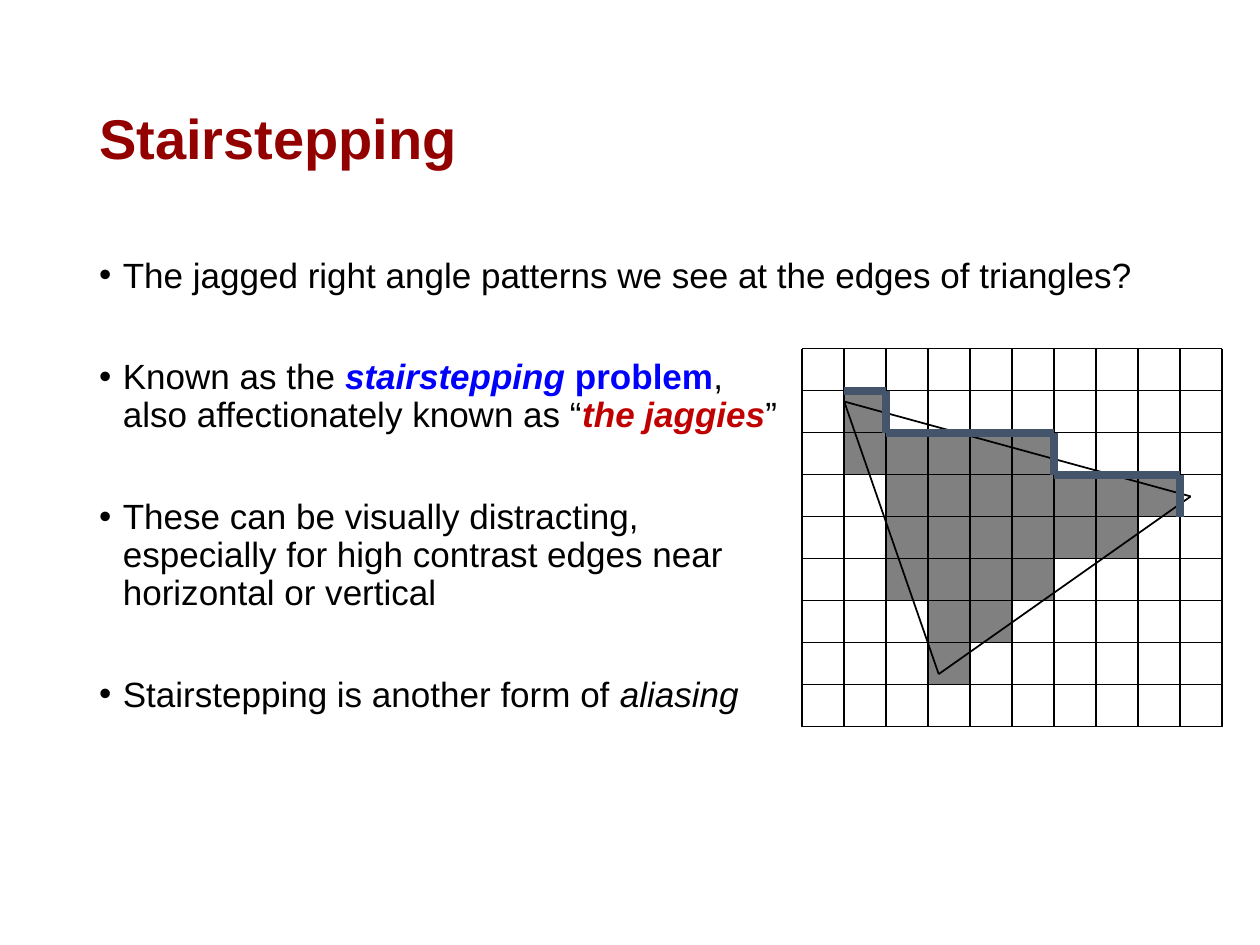
from itertools import pairwise

from lxml import etree
from pptx import Presentation
from pptx import util as u
from pptx.dml.color import RGBColor
from pptx.enum import shapes, text
from pptx.oxml import ns

BLACK = RGBColor(0x00, 0x00, 0x00)
DARK_RED = RGBColor(0x92, 0x00, 0x00)
RED = RGBColor(0xC0, 0x00, 0x00)
BLUE = RGBColor(0x00, 0x00, 0xFF)
GRAY = RGBColor(0x80, 0x80, 0x80)
SLATE = RGBColor(0x44, 0x54, 0x6A)

# Pixel grid, in points
CELL, COLUMNS, ROWS = 24, 10, 9
GRID_LEFT, GRID_TOP = 458.4, 199.2

# Row of the grid: first and last filled column
FILLED = {1: (1, 1), 2: (1, 5), 3: (2, 8), 4: (2, 7), 5: (2, 5), 6: (3, 4), 7: (3, 3)}
# Corners as (column, row) on the grid
TRIANGLE = [(1, 1.26), (9.25, 3.52), (3.25, 7.75), (1, 1.26)]
STAIRS = [(1, 1), (2, 1), (2, 2), (6, 2), (6, 3), (9, 3), (9, 4)]

BULLETS = [
    [("The jagged right angle patterns we see at the edges of triangles?", {})],
    [("Known as the ", {}),
     ("stairstepping", {"color": BLUE, "bold": True, "italic": True}),
     (" problem", {"color": BLUE, "bold": True}),
     (", \nalso affectionately known as “", {}),
     ("the jaggies", {"color": RED, "bold": True, "italic": True}),
     ("”", {})],
    [("These can be visually distracting, \nespecially for high contrast edges near \n"
      "horizontal or vertical", {})],
    [("Stairstepping is another form of ", {}), ("aliasing", {"italic": True})],
]


def write(paragraph, words, size=20, color=BLACK, bold=False, italic=False, font="Arial"):
    """Add words to a paragraph, with a line break at each newline."""
    for number, line in enumerate(words.split("\n")):
        if number:
            paragraph.add_line_break()
        run = paragraph.add_run()
        run.text = line
        run.font.name, run.font.size = font, u.Pt(size)
        run.font.bold, run.font.italic = bold, italic
        run.font.color.rgb = color


class Deck:
    def __init__(self, width, height):
        self.presentation = Presentation()
        self.presentation.slide_width = u.Pt(width)
        self.presentation.slide_height = u.Pt(height)
        self.slide = self.presentation.slides.add_slide(self.presentation.slide_layouts[1])
        self.drawing = None

    def place(self, holder, left, top, width, height, anchor):
        holder.left, holder.top = u.Pt(left), u.Pt(top)
        holder.width, holder.height = u.Pt(width), u.Pt(height)
        frame = holder.text_frame
        frame.word_wrap = True
        frame.auto_size = text.MSO_AUTO_SIZE.NONE
        frame.vertical_anchor = anchor
        return frame

    def title(self, words, *box):
        frame = self.place(self.slide.shapes.title, *box, text.MSO_ANCHOR.MIDDLE)
        heading = frame.paragraphs[0]
        heading.alignment = text.PP_ALIGN.LEFT
        heading.line_spacing = 0.9
        write(heading, words, size=32, color=DARK_RED, bold=True)

    def bullets(self, items, *box, gap, indent):
        frame = self.place(self.slide.placeholders[1], *box, text.MSO_ANCHOR.TOP)
        for number, item in enumerate(items):
            point = frame.add_paragraph() if number else frame.paragraphs[0]
            point.line_spacing = 0.9
            point.space_before = u.Pt(gap if number else 0)
            properties = point._p.get_or_add_pPr()
            properties.set("marL", str(u.Pt(indent)))
            properties.set("indent", str(-u.Pt(indent)))
            etree.SubElement(properties, ns.qn("a:buFont")).set("typeface", "Arial")
            etree.SubElement(properties, ns.qn("a:buChar")).set("char", "•")
            for words, style in item:
                write(point, words, **style)

    def start_drawing(self):
        self.drawing = self.slide.shapes.add_group_shape().shapes

    def at(self, column, row):
        return u.Pt(GRID_LEFT + column * CELL), u.Pt(GRID_TOP + row * CELL)

    def pixel(self, column, row):
        square = self.drawing.add_shape(
            shapes.MSO_SHAPE.RECTANGLE, *self.at(column, row), u.Pt(CELL), u.Pt(CELL))
        square.shadow.inherit = False
        square.fill.solid()
        square.fill.fore_color.rgb = GRAY
        square.line.fill.background()

    def line(self, start, end, color=BLACK, width=1):
        stroke = self.drawing.add_connector(
            shapes.MSO_CONNECTOR.STRAIGHT, *self.at(*start), *self.at(*end))
        stroke.line.color.rgb = color
        stroke.line.width = u.Pt(width)
        etree.SubElement(stroke._element.spPr, ns.qn("a:effectLst"))

    def path_lines(self, corners, **style):
        for start, end in pairwise(corners):
            self.line(start, end, **style)


def main():
    deck = Deck(720, 540)

    # Title and bullet points
    deck.title("Stairstepping", 49.5, 28.75, 621, 104.4)
    deck.bullets(BULLETS, 49.5, 143.75, 621, 342.6, gap=36.6, indent=13.5)

    # Filled pixels
    deck.start_drawing()
    for row, (first, last) in FILLED.items():
        for column in range(first, last + 1):
            deck.pixel(column, row)

    # Triangle
    deck.path_lines(TRIANGLE)

    # Grid
    for row in range(ROWS + 1):
        deck.line((0, row), (COLUMNS, row))
    for column in range(COLUMNS + 1):
        deck.line((column, 0), (column, ROWS))

    # Jagged upper edge
    deck.path_lines(STAIRS, color=SLATE, width=4.5)

    deck.presentation.save("out.pptx")


if __name__ == "__main__":
    main()
